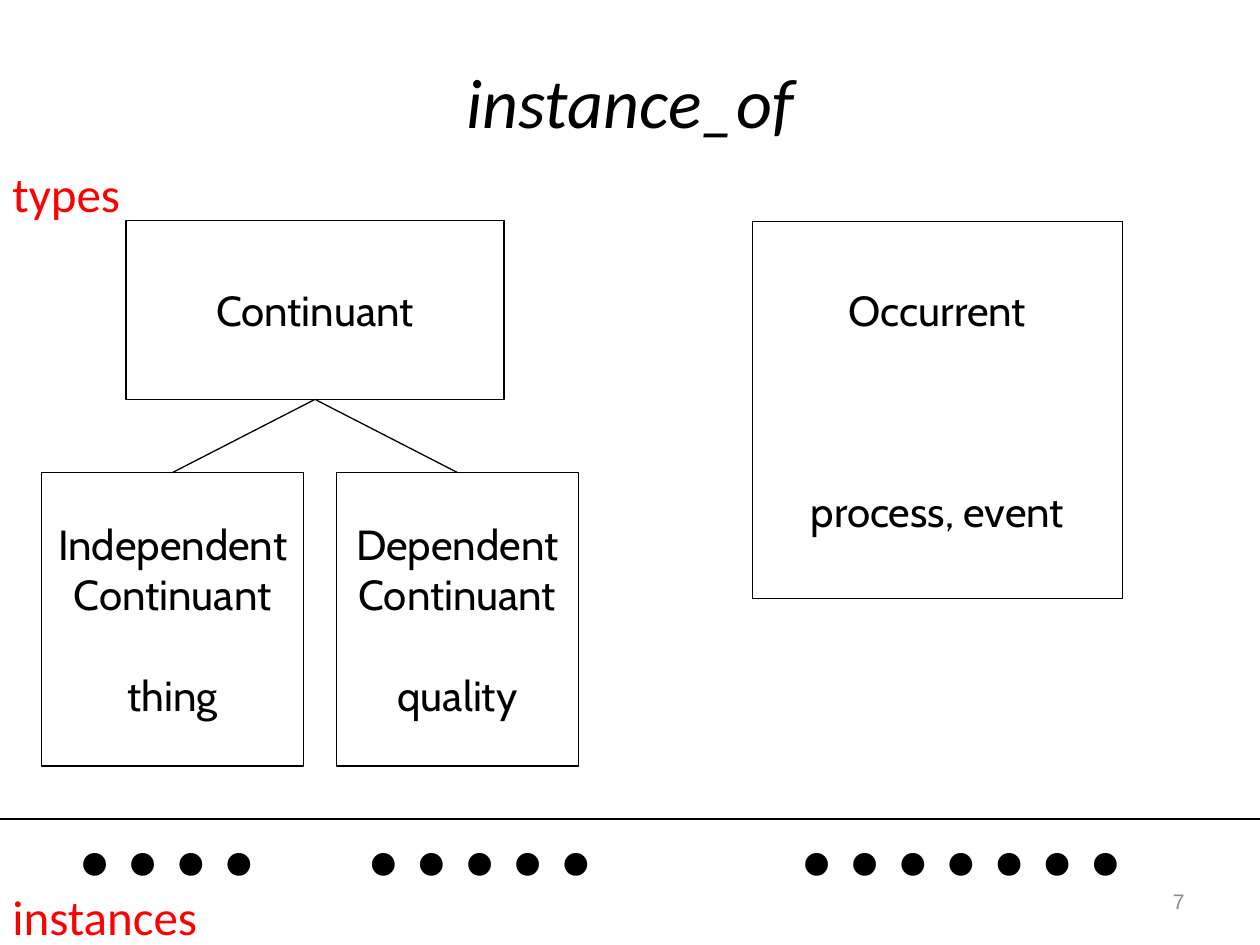
from pptx import Presentation
from pptx.dml.color import RGBColor
from pptx.enum.shapes import MSO_CONNECTOR as Connector, MSO_SHAPE as Shape
from pptx.enum.text import MSO_ANCHOR as Anchor, MSO_AUTO_SIZE as AutoSize, PP_ALIGN as Align
from pptx.oxml.ns import qn
from pptx.util import Inches, Pt
from lxml import etree

BLACK, RED, GREY = "000000", "FF0000", "898989"
TOP, BOTTOM = 0, 2
LINE_PITCH = 28.8   # height of one 24 pt line in the boxes
DOT_PITCH = 0.382   # advance of one 110 pt full stop, in inches


def color(hex_value):
    return RGBColor.from_string(hex_value)


def set_font(paragraph, hex_value, **values):
    for name, value in values.items():
        setattr(paragraph.font, name, value)
    paragraph.font.color.rgb = color(hex_value)


def add_label(slide, text, place, hex_value, align=Align.LEFT, anchor=Anchor.TOP,
              **font):
    label = slide.shapes.add_textbox(*map(Inches, place))
    frame = label.text_frame
    frame.word_wrap = True
    frame.vertical_anchor = anchor
    paragraph = frame.paragraphs[0]
    paragraph.add_run().text = text
    paragraph.alignment = align
    set_font(paragraph, hex_value, **font)
    return label


def add_type_box(slide, place, lines, example=None, gap_lines=0):
    """Outlined box with a type name and, after a gap, an example of it."""
    box = slide.shapes.add_shape(Shape.RECTANGLE, *map(Inches, place))
    box.shadow.inherit = False
    box.fill.background()
    box.line.color.rgb = color(BLACK)
    box.line.width = Pt(0.75)
    frame = box.text_frame
    frame.word_wrap = False
    frame.vertical_anchor = Anchor.MIDDLE
    frame.text = "\n".join(lines + ([example] if example else []))
    for paragraph in frame.paragraphs:
        paragraph.alignment = Align.CENTER
        set_font(paragraph, BLACK, name="Cabin", size=Pt(24))
    if example:
        frame.paragraphs[-1].space_before = Pt(gap_lines * LINE_PITCH)
    return box


def add_line(slide, start=(0, 0), end=(0, 0)):
    line = slide.shapes.add_connector(Connector.STRAIGHT, *map(Inches, (*start, *end)))
    line.line.color.rgb = color(BLACK)
    line.line.width = Pt(0.75)
    etree.SubElement(line._element.spPr, qn("a:effectLst"))
    return line


def add_subtype_link(slide, parent, child):
    link = add_line(slide)
    link.begin_connect(parent, BOTTOM)
    link.end_connect(child, TOP)


def add_instance_dots(slide, place, groups):
    """Rows of dots; each group is (first column, number of dots)."""
    text = "".join("\t" + "." * count for _, count in groups)
    dots = add_label(slide, text, place, BLACK, name="Times New Roman", size=Pt(110))
    dots.text_frame.auto_size = AutoSize.SHAPE_TO_FIT_TEXT
    paragraph = dots.text_frame.paragraphs[0]
    paragraph.line_spacing = 0.55
    # Tab stops go before the default run properties
    tabs = etree.Element(qn("a:tabLst"))
    for column, _ in groups:
        etree.SubElement(tabs, qn("a:tab"), pos=str(Inches(column * DOT_PITCH)), algn="l")
    properties = paragraph._p.get_or_add_pPr()
    properties.find(qn("a:defRPr")).addprevious(tabs)


def main():
    deck = Presentation()
    deck.slide_width, deck.slide_height = Inches(10), Inches(7.5)
    slide = deck.slides.add_slide(deck.slide_layouts[6])

    # Title
    add_label(slide, "instance_of", (0, 0.42, 10, 0.75), BLACK, Align.CENTER,
              Anchor.MIDDLE, name="Calibri", size=Pt(40), italic=True)

    # Types
    continuant = add_type_box(slide, (1, 1.75, 3, 1.42), ["Continuant"])
    add_type_box(slide, (5.97, 1.76, 2.94, 2.99), ["Occurrent"], "process, event", 3)
    for name, example, left, width in (("Independent", "thing", 0.33, 2.08),
                                       ("Dependent", "quality", 2.67, 1.92)):
        subtype = add_type_box(slide, (left, 3.75, width, 2.33),
                               [name, "Continuant"], example, 1)
        add_subtype_link(slide, continuant, subtype)

    # Instances below the dividing line
    add_line(slide, (0, 6.5), (10.25, 6.5))
    add_instance_dots(slide, (0.08, 6.08, 10.17, 1.11), [(1, 4), (7, 5), (16, 7)])

    # Level names
    for level, top, width in (("types", 1.25, 1.58), ("instances", 6.99, 2.58)):
        add_label(slide, level, (0, top, width, 0.57), RED, name="Calibri", size=Pt(28))

    # Slide number
    add_label(slide, "7", (7.17, 6.95, 2.33, 0.4), GREY, Align.RIGHT, Anchor.MIDDLE,
              name="Arial", size=Pt(12))

    deck.save("out.pptx")


if __name__ == "__main__":
    main()
